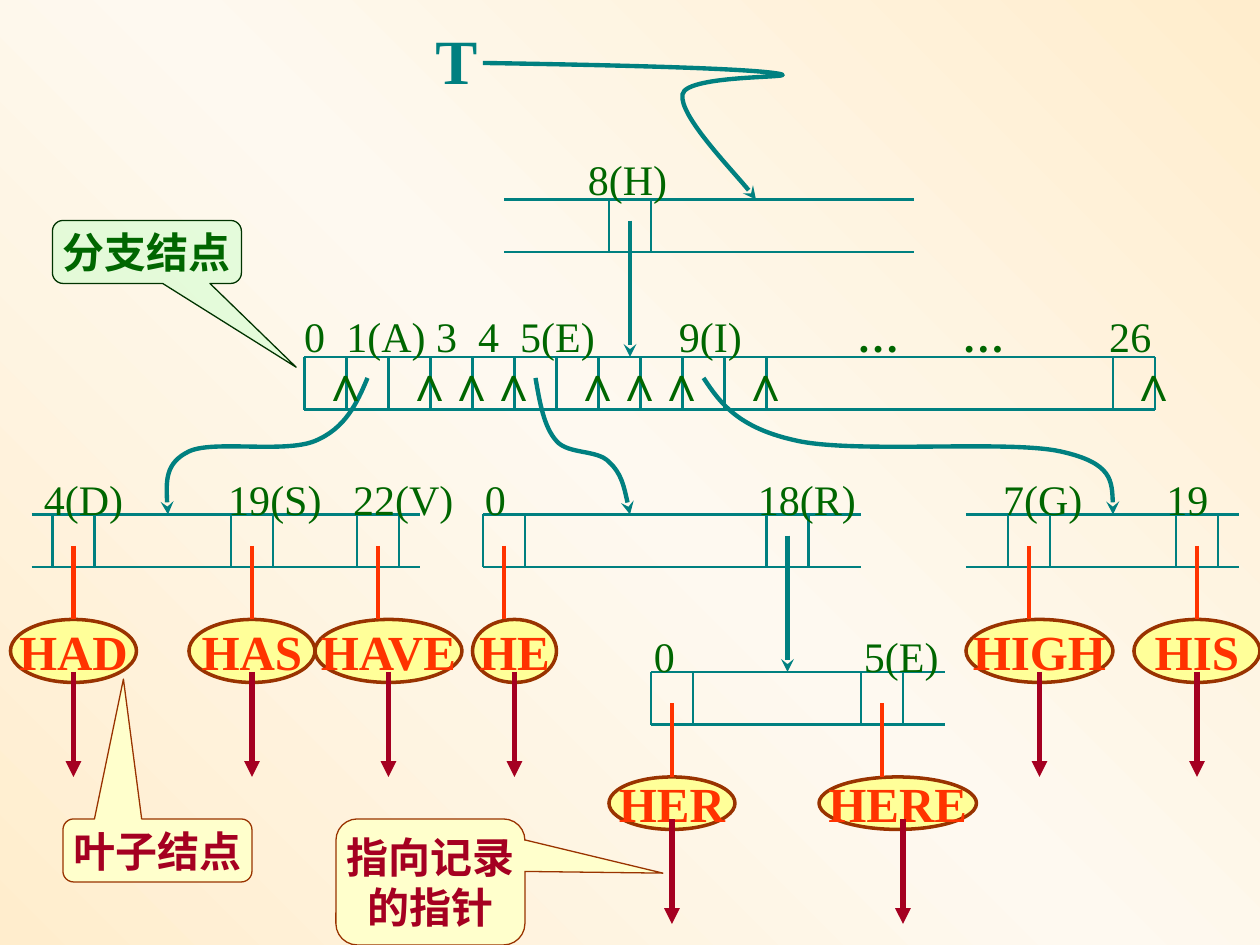
import copy
import lxml.etree
import pptx
import pptx.dml.color
import pptx.enum.shapes
import pptx.enum.text
import pptx.oxml.ns
import pptx.util

qn = pptx.oxml.ns.qn
rgb = pptx.dml.color.RGBColor.from_string
ALIGN = pptx.enum.text.PP_ALIGN
SHAPE = pptx.enum.shapes.MSO_SHAPE
SERIF = "Times New Roman"
TEAL, GREEN, RED, BROWN, WINE = "008080", "006600", "FF3300", "993300", "A50021"

prs = pptx.Presentation()
prs.slide_width, prs.slide_height = pptx.util.Inches(10), pptx.util.Inches(7.5)
U = prs.slide_width // 120
s = prs.slides.add_slide(prs.slide_layouts[6])

fill = s.background.fill
fill.gradient()
fill.gradient_angle = 225
stops = next(s.element.iter(qn("a:gsLst")))
stops.append(copy.deepcopy(stops[-1]))
for stop, (pos, color) in zip(fill.gradient_stops, [(0, "FFEDCD"), (0.5, "FEF9F0"), (1, "FFEDCD")]):
    stop.position = pos
    stop.color.rgb = rgb(color)


def draw_line(x1, y1, x2, y2, color, width, head=None):
    c = s.shapes.add_connector(1, *[round(v * U) for v in (x1, y1, x2, y2)])
    c.line.color.rgb = rgb(color)
    c.line.width = pptx.util.Pt(width)
    lxml.etree.SubElement(c._element.spPr, qn("a:effectLst"))
    if head:
        lxml.etree.SubElement(c.get_or_add_ln(), qn("a:tailEnd"), type=head)
    return c


def write(sp, lines, size, color, font=SERIF, bold=False, align=ALIGN.CENTER, wrap=False):
    tf = sp.text_frame
    tf.word_wrap = wrap
    for i, parts in enumerate(lines):
        p = tf.add_paragraph() if i else tf.paragraphs[0]
        p.alignment = align
        for part in parts:
            r = p.add_run()
            r.text = part
            fmt = {"name": font, "size": pptx.util.Pt(size), "bold": bold or "…" in part}
            for key, value in fmt.items():
                setattr(r.font, key, value)
            r.font.color.rgb = rgb(color)


nodes = [
    (19, 48, 87, [58, 62]),
    (34, 29, 110, [*range(29, 74, 4), 106, 110]),
    (49, 3, 40, [5, 9, 22, 26, 34, 38]),
    (49, 92, 118, [96, 100, 112, 116]),
    (49, 46, 82, [46, 50, 73, 77]),
    (64, 62, 90, [62, 66, 82, 86]),
]
for top, left, right, dividers in nodes:
    for y in (top + 5, top):
        draw_line(left, y, right, y, TEAL, 1.5)
    for x in dividers:
        draw_line(x, top, x, top + 5, TEAL, 1.5)

labels = [
    (14, 54.8, 10, ["8(H)"], []),
    (29, 27.8, 84, ["0", "1(A)", "3", "4", "5(E)", "9(I)", "…", "…", "26"],
     [33, 41.56, 45.56, 49.56, 64.67, 81.67, 91.67, 105.67]),
    (44.5, 3, 114, ["4(D)", "19(S)", "22(V)", "0", "18(R)", "7(G)", "19"],
     [21.76, 33.65, 46.2, 72.2, 95.56, 111.1]),
    (59.5, 61.1, 30, ["0", "5(E)"], [82.3]),
]
for top, left, width, words, tabs in labels:
    sp = s.shapes.add_textbox(round(left * U), round(top * U), width * U, 6 * U)
    parts = [words[0]] + ["\t" + word for word in words[1:]]
    write(sp, [parts], 24, GREEN, align=ALIGN.LEFT, wrap=True)
    pPr = sp.text_frame.paragraphs[0]._p.get_or_add_pPr()
    if tabs:
        tab_list = lxml.etree.SubElement(pPr, qn("a:tabLst"))
        for x in tabs:
            lxml.etree.SubElement(tab_list, qn("a:tab"), pos=str(round((x - left - 1.2) * U)), algn="l")

sp = s.shapes.add_textbox(round(40.3 * U), round(1.5 * U), 7 * U, 8 * U)
write(sp, [["T"]], 36, TEAL, bold=True, align=ALIGN.LEFT, wrap=True)

for x, y in [(60, 21), (75, 51)]:
    draw_line(x, y, x, y + 13, TEAL, 2.5, "stealth")

curves = [
    [(46, 6), (58.4, 6.2), (70.8, 6.5), (74, 7), (77.2, 7.5), (65.3, 7), (65, 9),
     (64.7, 11), (70.8, 17.3), (72, 19)],
    [(35, 36), (34, 38.4), (32.9, 40.8), (30, 42), (27.1, 43.2), (20.3, 41.9), (18, 43),
     (15.7, 44.1), (15.8, 46.6), (16, 49)],
    [(51, 36), (51.4, 38.3), (51.8, 40.7), (53, 42), (54.1, 43.3), (56.9, 42.8), (58, 44),
     (59.2, 45.1), (59.6, 47), (60, 49)],
    [(67, 36), (68.6, 38.4), (70.3, 40.8), (76, 42), (81.7, 43.2), (96, 41.9), (101, 43),
     (106, 44.1), (106, 46.6), (106, 49)],
]
for points in curves:
    points = [(round(x * U), round(y * U)) for x, y in points]
    builder = s.shapes.build_freeform(*points[0])
    builder.add_line_segments(points[1:], close=False)
    sp = builder.convert_to_shape()
    sp.shadow.inherit = False
    sp.fill.background()
    sp.line.color.rgb = rgb(TEAL)
    sp.line.width = pptx.util.Pt(2.5)
    lxml.etree.SubElement(sp.get_or_add_ln(), qn("a:tailEnd"), type="stealth")
    segments = list(sp._element.iter(qn("a:lnTo")))
    outline = segments[0].getparent()
    for i in range(0, len(segments), 3):
        bezier = lxml.etree.SubElement(outline, qn("a:cubicBezTo"))
        for segment in segments[i:i + 3]:
            bezier.append(segment[0])
            outline.remove(segment)

leaves = [
    ("HAD", 1, 59, 12, 6, 7, 7),
    ("HAS", 18, 59, 12, 6, 24, 24),
    ("HAVE", 30, 59, 14, 6, 36, 37),
    ("HE", 45, 59, 8, 6, 48, 49),
    ("HER", 58, 74, 12, 5, 64, 64),
    ("HERE", 78, 74, 15, 5, 84, 86),
    ("HIGH", 92, 59, 14, 6, 98, 99),
    ("HIS", 108, 59, 12, 6, 114, 114),
]
for word, left, top, width, height, stem, arrow in leaves:
    sp = s.shapes.add_shape(SHAPE.OVAL, left * U, top * U, width * U, height * U)
    sp.shadow.inherit = False
    sp.fill.solid()
    sp.fill.fore_color.rgb = rgb("FFFF99")
    sp.line.color.rgb = rgb(BROWN)
    sp.line.width = pptx.util.Pt(2)
    write(sp, [[word]], 28, RED, bold=True)
    c = draw_line(stem, top - 7, stem, top, RED, 2.5)
    if stem == left + width / 2:
        c.end_connect(sp, 0)
    start = top + height - 1
    draw_line(arrow, start, arrow, start + 10, WINE, 3, "triangle")

for k in (0, 2, 3, 4, 6, 7, 8, 10, 19.25):
    sp = s.shapes.add_textbox(round((29.4 + 4 * k) * U), 33 * U, 4 * U, round(6.8 * U))
    write(sp, [["∧"]], 28, GREEN, font="Arial", align=ALIGN.LEFT)

callouts = [
    (["叶子结点"], 6, 78, 6, (-0.18, -2.72), "FFFFCC", None, BROWN, WINE),
    (["分支结点"], 5, 21, 6, (0.79, 1.83), "CCFFCC", "50000", "003300", GREEN),
    (["指向记录", "的指针"], 32, 78, 12, (1.23, -0.07), "FFFFCC", None, BROWN, WINE),
]
for lines, left, top, height, tip, color, alpha, border, ink in callouts:
    sp = s.shapes.add_shape(SHAPE.ROUNDED_RECTANGULAR_CALLOUT, left * U, top * U, 18 * U, height * U)
    sp.shadow.inherit = False
    for i, value in enumerate((*tip, 0.17)):
        sp.adjustments[i] = value
    sp.fill.solid()
    sp.fill.fore_color.rgb = rgb(color)
    if alpha:
        lxml.etree.SubElement(sp._element.spPr.find(qn("a:solidFill"))[0], qn("a:alpha"), val=alpha)
    sp.line.color.rgb = rgb(border)
    sp.line.width = pptx.util.Pt(0.75)
    write(sp, [[line] for line in lines], 24, ink, bold=True)

prs.save("out.pptx")
